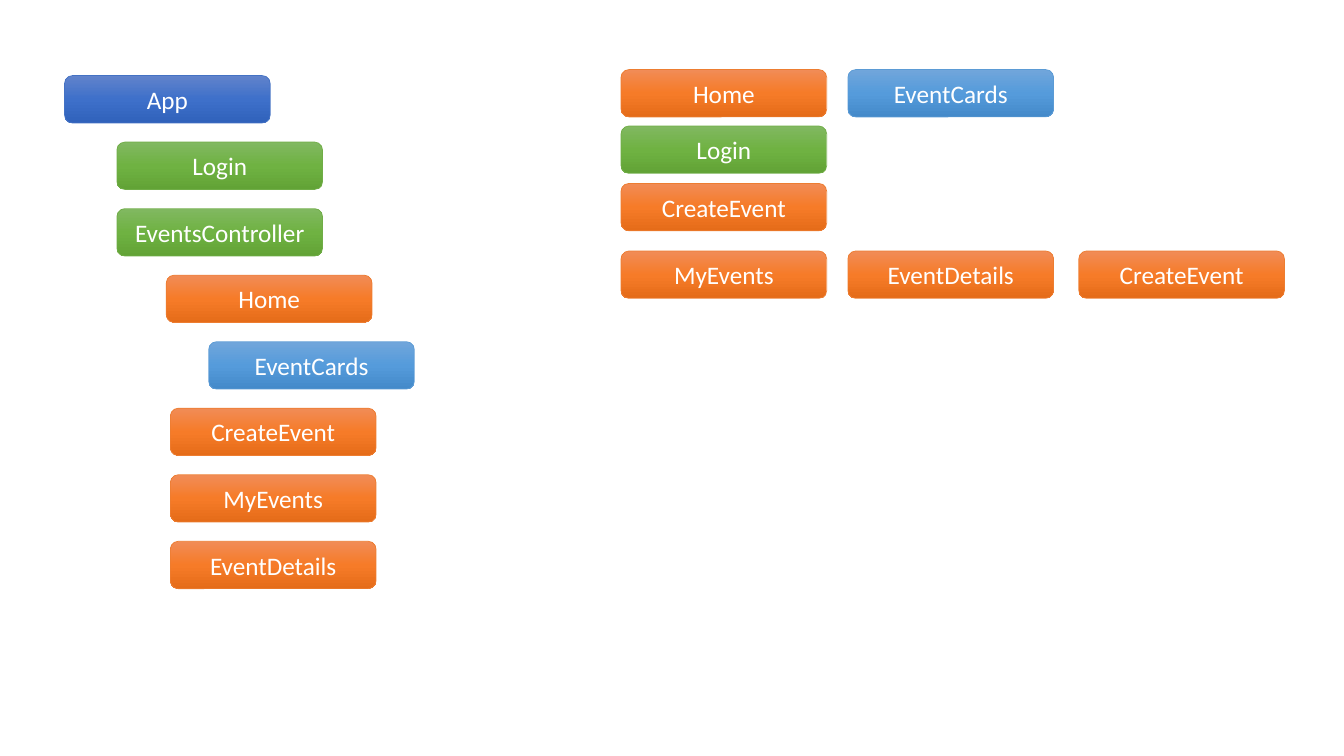
from copy import deepcopy
from dataclasses import dataclass

from pptx import Presentation
from pptx.dml.color import RGBColor
from pptx.enum.shapes import MSO_SHAPE
from pptx.enum.text import MSO_ANCHOR, PP_ALIGN
from pptx.oxml.ns import qn
from pptx.slide import Slide
from pptx.util import Inches, Pt

ROUNDED = MSO_SHAPE.ROUNDED_RECTANGLE
MIDDLE = MSO_ANCHOR.MIDDLE
CENTER = PP_ALIGN.CENTER

FONT = "Calibri"
WHITE = RGBColor(0xFF, 0xFF, 0xFF)
BOX_WIDTH, BOX_HEIGHT = 2.04, 0.47


@dataclass(frozen=True)
class Style:
    top: RGBColor
    middle: RGBColor
    bottom: RGBColor
    outline: RGBColor


@dataclass(frozen=True)
class Component:
    name: str
    left: float
    style: Style


BLUE = Style(RGBColor(0x61, 0x83, 0xCB), RGBColor(0x3E, 0x70, 0xCA),
             RGBColor(0x30, 0x62, 0xBB), RGBColor(0x44, 0x72, 0xC4))
GREEN = Style(RGBColor(0x81, 0xB8, 0x61), RGBColor(0x6F, 0xB2, 0x42),
              RGBColor(0x62, 0xA3, 0x36), RGBColor(0x70, 0xAD, 0x47))
ORANGE = Style(RGBColor(0xF1, 0x8C, 0x57), RGBColor(0xF6, 0x7B, 0x28),
               RGBColor(0xE5, 0x6C, 0x19), RGBColor(0xED, 0x7D, 0x31))
SKY = Style(RGBColor(0x71, 0xA6, 0xDB), RGBColor(0x55, 0x9B, 0xDB),
            RGBColor(0x44, 0x8A, 0xCA), RGBColor(0x5B, 0x9B, 0xD5))

# Component tree: one row per component, indented by depth
TREE_TOP, TREE_PITCH = 0.75, 0.66
TREE = [
    Component("App", 0.64, BLUE),
    Component("Login", 1.16, GREEN),
    Component("EventsController", 1.16, GREEN),
    Component("Home", 1.65, ORANGE),
    Component("EventCards", 2.07, SKY),
    Component("CreateEvent", 1.69, ORANGE),
    Component("MyEvents", 1.69, ORANGE),
    Component("EventDetails", 1.69, ORANGE),
]

# Screens: row top, then the components placed on that row
FIRST, SECOND, THIRD = 6.16, 8.41, 10.7
SCREENS = {
    0.69: [Component("Home", FIRST, ORANGE), Component("EventCards", SECOND, SKY)],
    1.25: [Component("Login", FIRST, GREEN)],
    1.82: [Component("CreateEvent", FIRST, ORANGE)],
    2.49: [Component("MyEvents", FIRST, ORANGE),
           Component("EventDetails", SECOND, ORANGE),
           Component("CreateEvent", THIRD, ORANGE)],
}


def draw_component(page: Slide, component: Component, top: float) -> None:
    box = page.shapes.add_shape(ROUNDED, Inches(component.left), Inches(top),
                                Inches(BOX_WIDTH), Inches(BOX_HEIGHT))
    box.shadow.inherit = False
    style = component.style

    # Three-stop gradient running downwards
    box.fill.gradient()
    box.fill.gradient_angle = 270
    stop_list = box._element.spPr.find(qn("a:gradFill")).find(qn("a:gsLst"))
    stop_list.append(deepcopy(stop_list[-1]))
    colours = (style.top, style.middle, style.bottom)
    for stop, position, colour in zip(box.fill.gradient_stops, (0, 0.5, 1), colours):
        stop.position = position
        stop.color.rgb = colour
    box.line.color.rgb = style.outline
    box.line.width = Pt(0.5)

    # Label
    frame = box.text_frame
    frame.text = component.name
    frame.word_wrap = True
    frame.vertical_anchor = MIDDLE
    para = frame.paragraphs[0]
    para.alignment = CENTER
    font = para.runs[0].font
    font.name = FONT
    font.size = Pt(18)
    font.color.rgb = WHITE


def main() -> None:
    deck = Presentation()
    deck.slide_width, deck.slide_height = Inches(13.33), Inches(7.5)
    page = deck.slides.add_slide(deck.slide_layouts.get_by_name("Blank"))

    for row, component in enumerate(TREE):
        draw_component(page, component, TREE_TOP + row * TREE_PITCH)
    for top, components in SCREENS.items():
        for component in components:
            draw_component(page, component, top)

    deck.save("out.pptx")


if __name__ == "__main__":
    main()
